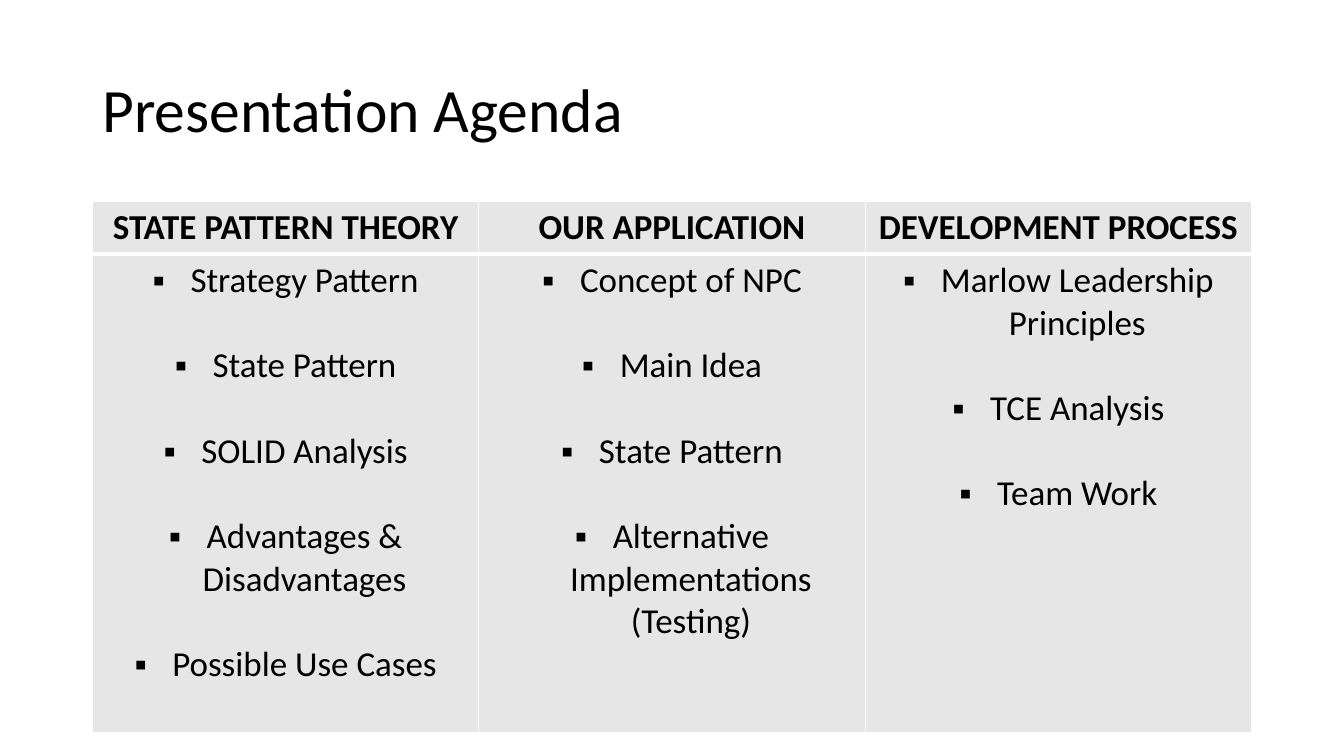
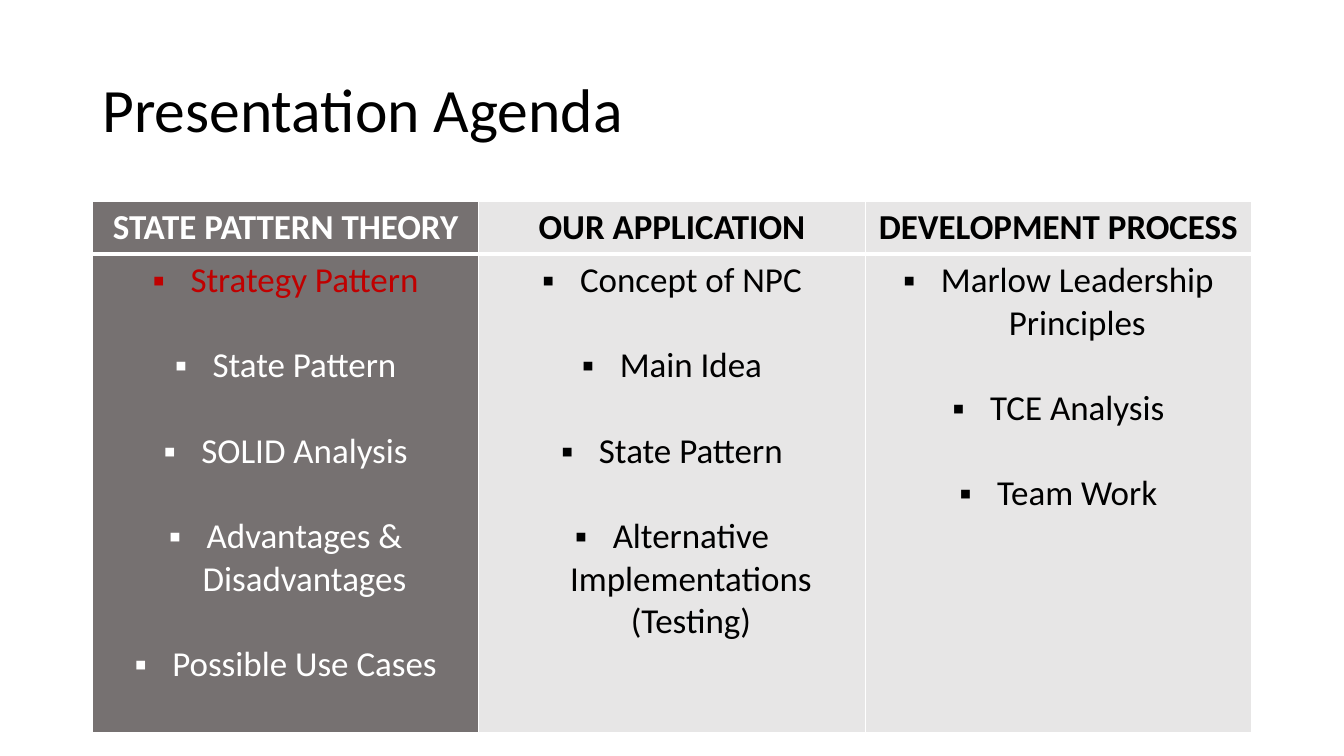
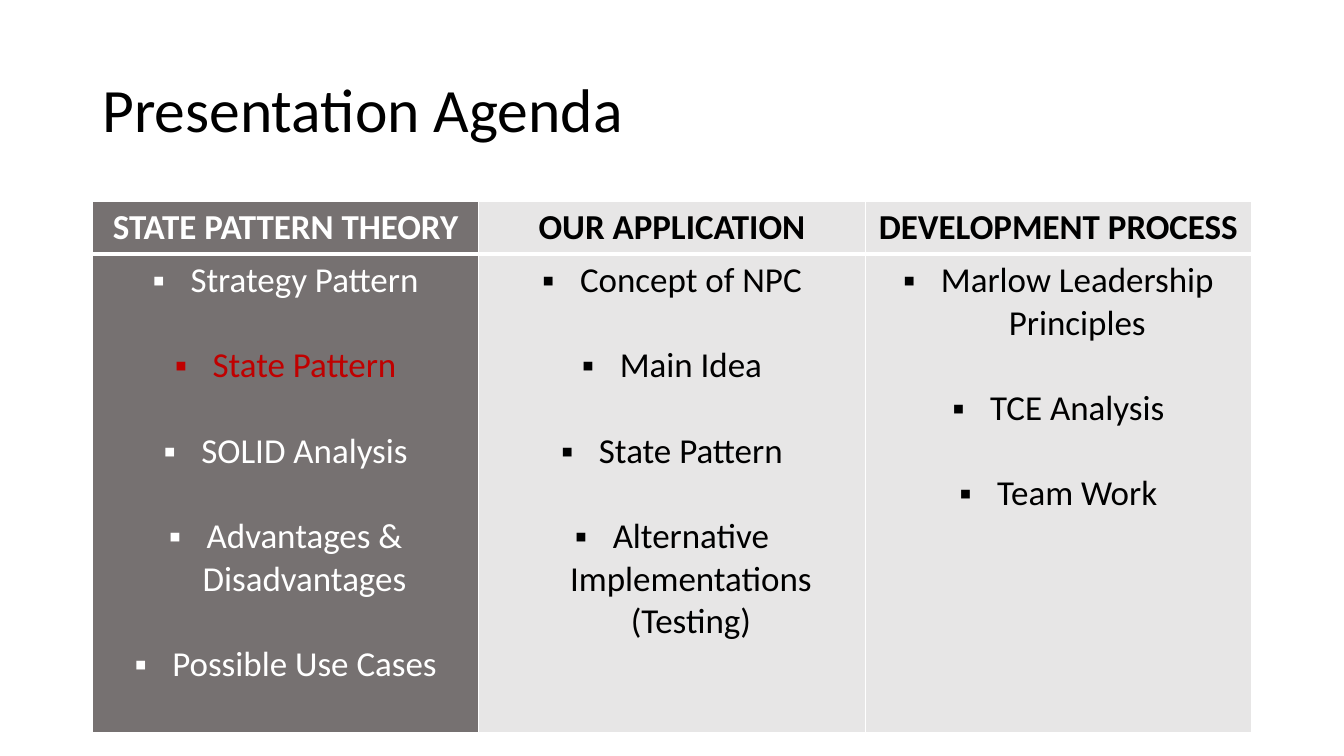
from lxml.etree import SubElement
from pptx import Presentation
from pptx.dml.color import RGBColor
from pptx.enum.text import MSO_ANCHOR, PP_ALIGN
from pptx.oxml.ns import qn
from pptx.util import Pt

PX = 9525
FONT = "Calibri"
BLACK = RGBColor(0x00, 0x00, 0x00)
WHITE = RGBColor(0xFF, 0xFF, 0xFF)
LIGHT = RGBColor(0xE7, 0xE6, 0xE6)
DARK = RGBColor(0x76, 0x71, 0x71)
RED = RGBColor(0xC0, 0x00, 0x00)

LEFT, WIDTH = 88, 1104
ROWS = (50, 456)
INDENT = 36
TOPICS = {
    "STATE PATTERN THEORY": [
        "Strategy Pattern",
        "State Pattern",
        "SOLID Analysis",
        "Advantages & Disadvantages",
        "Possible Use Cases",
    ],
    "OUR APPLICATION": [
        "Concept of NPC",
        "Main Idea",
        "State Pattern",
        "Alternative Implementations (Testing)",
    ],
    "DEVELOPMENT PROCESS": [
        "Marlow Leadership Principles",
        "TCE Analysis",
        "Team Work",
    ],
}


def px(*nums):
    return [num * PX for num in nums]


def bullet(para):
    props = para._p.get_or_add_pPr()
    props.set("marL", str(INDENT * PX))
    props.set("indent", str(-INDENT * PX))
    SubElement(props, qn("a:buFont"), typeface="Arial")
    SubElement(props, qn("a:buChar"), char="▪")


def write(frame, lines, size=25, color=BLACK, bold=False, align=PP_ALIGN.CENTER,
          space=None, gap=0, marks=False, hot=None):
    for pos, line in enumerate(lines):
        para = frame.add_paragraph() if pos else frame.paragraphs[0]
        if marks:
            bullet(para)
        para.alignment = align
        if space:
            para.line_spacing = space
        if pos and gap:
            para.space_before = Pt(gap)
        run = para.add_run()
        run.text = line
        font = run.font
        font.name, font.size, font.bold = FONT, Pt(size), bold
        font.color.rgb = RED if pos == hot else color


def border(cell, **edges):
    props = cell._tc.get_or_add_tcPr()
    for side in "LRTB":
        line = SubElement(props, qn(f"a:ln{side}"), w=str(Pt(edges.get(side, 1))))
        fill = SubElement(line, qn("a:solidFill"))
        SubElement(fill, qn("a:srgbClr"), val=str(WHITE))


def paint(cell, color):
    cell.fill.solid()
    cell.fill.fore_color.rgb = color


def title(slide, words):
    frame = slide.shapes.add_textbox(*px(LEFT, 38, WIDTH, 139)).text_frame
    frame.word_wrap = True
    frame.vertical_anchor = MSO_ANCHOR.MIDDLE
    write(frame, [words], size=44, align=PP_ALIGN.LEFT, space=0.9)


def agenda(slide, part, hot):
    area = px(LEFT, 192, WIDTH, sum(ROWS))
    grid = slide.shapes.add_table(len(ROWS), len(TOPICS), *area).table
    grid.first_row = grid.horz_banding = False
    for row, high in zip(grid.rows, ROWS):
        row.height = high * PX
    for col, (name, items) in enumerate(TOPICS.items()):
        head, body = grid.cell(0, col), grid.cell(1, col)
        border(head, B=3)
        border(body, T=3)
        live = col == part
        color = WHITE if live else BLACK
        for cell in (head, body):
            paint(cell, DARK if live else LIGHT)
        write(head.text_frame, [name], color=color, bold=True)
        write(body.text_frame, items, color=color, gap=30.5, marks=True,
              hot=hot if live else None)


def main():
    deck = Presentation()
    deck.slide_width, deck.slide_height = px(1280, 720)
    for part, hot in ((None, None), (0, 0), (0, 1)):
        slide = deck.slides.add_slide(deck.slide_layouts[6])
        title(slide, "Presentation Agenda")
        agenda(slide, part, hot)
    deck.save("out.pptx")


if __name__ == "__main__":
    main()
